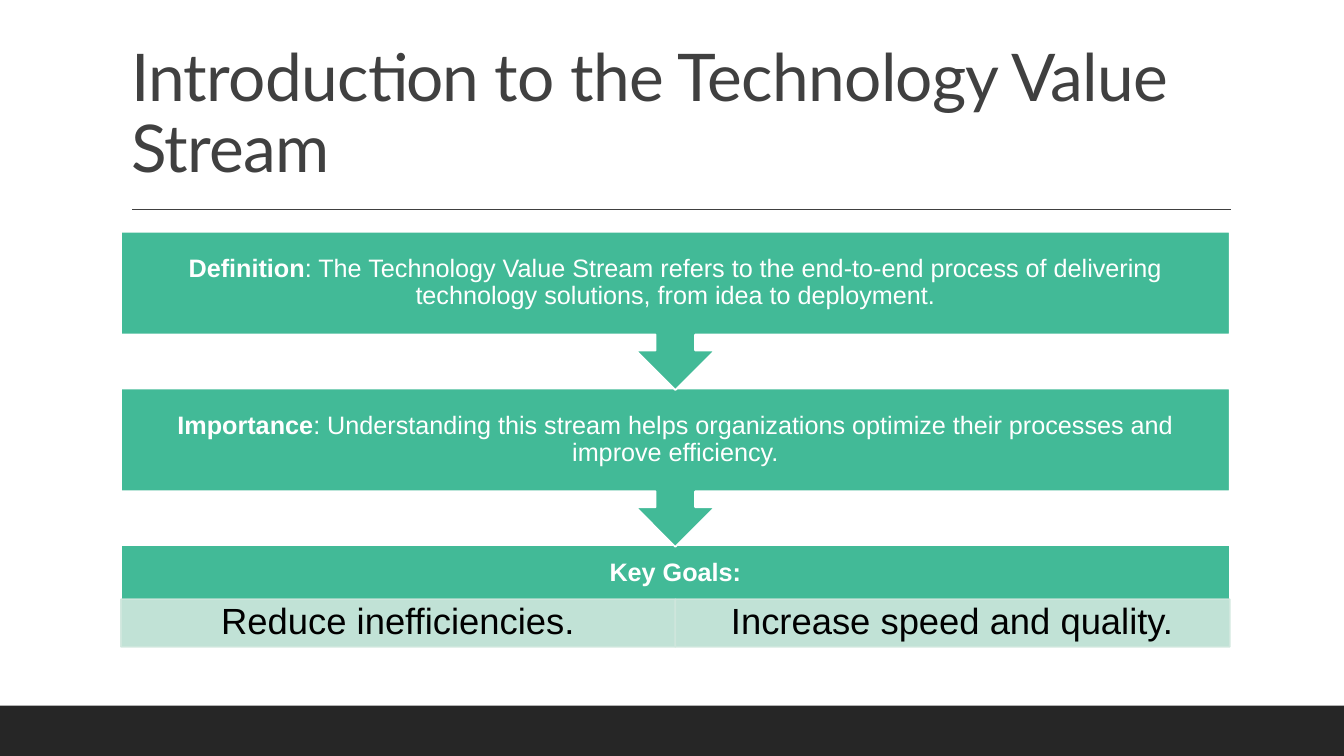
from dataclasses import dataclass

import pptx
import pptx.dml.color
import pptx.enum.shapes
import pptx.enum.text
import pptx.oxml
import pptx.oxml.ns
import pptx.presentation
import pptx.shapes.autoshape
import pptx.slide
import pptx.util
from pptx.util import Cm

RGBColor = pptx.dml.color.RGBColor
Shapes = pptx.enum.shapes.MSO_SHAPE
Anchor = pptx.enum.text.MSO_ANCHOR
Align = pptx.enum.text.PP_ALIGN

WHITE = RGBColor(0xFF, 0xFF, 0xFF)
BLACK = RGBColor(0x00, 0x00, 0x00)
DARK_GRAY = RGBColor(0x40, 0x40, 0x40)
FOOTER_GRAY = RGBColor(0x26, 0x26, 0x26)
GREEN = RGBColor(0x42, 0xBA, 0x97)
PALE_GREEN = RGBColor(0xCF, 0xE7, 0xDD)

SLIDE_WIDTH, SLIDE_HEIGHT = Cm(33.87), Cm(19.05)
FLOW_LEFT, FLOW_TOP, FLOW_WIDTH = Cm(3.05), Cm(5.84), Cm(27.94)
STEP_PITCH, CALLOUT_HEIGHT, BOX_HEIGHT = Cm(3.95), Cm(3.99), Cm(2.59)
GOAL_TOP, GOAL_HEIGHT = Cm(15.1), Cm(1.2)
FOOTER_HEIGHT = Cm(1.27)


@dataclass(frozen=True)
class Step:
    label: str
    detail: str


@dataclass(frozen=True)
class Look:
    fill: RGBColor
    line: RGBColor
    text: RGBColor
    size: float
    margin_x: float
    margin_y: float
    opacity: int = 100


STEP_LOOK = Look(GREEN, WHITE, WHITE, 18, 0.36, 0.36)
GOAL_LOOK = Look(PALE_GREEN, PALE_GREEN, BLACK, 26, 0.5, 0.1, 90)

STEPS = [
    Step("Definition", ": The Technology Value Stream refers to the end-to-end process "
         "of delivering technology solutions, from idea to deployment."),
    Step("Importance", ": Understanding this stream helps organizations optimize "
         "their processes and improve efficiency."),
]
GOALS = ["Reduce inefficiencies.", "Increase speed and quality."]


def set_opacity(shape: pptx.shapes.autoshape.Shape, percent: int) -> None:
    """Make the fill and the outline of the shape partly transparent."""
    for color in shape._element.spPr.iter(pptx.oxml.ns.qn("a:srgbClr")):
        alpha = pptx.oxml.parse_xml(
            f'<a:alpha {pptx.oxml.ns.nsdecls("a")} val="{percent * 1000}"/>')
        color.append(alpha)


def add_box(slide: pptx.slide.Slide, preset: Shapes, left: int, top: int, width: int,
            height: int, step: Step, look: Look) -> pptx.shapes.autoshape.Shape:
    """Add a filled shape whose text is a bold label followed by plain detail."""
    shape = slide.shapes.add_shape(preset, left, top, width, height)
    shape.shadow.inherit = False
    shape.fill.solid()
    shape.fill.fore_color.rgb = look.fill
    shape.line.color.rgb = look.line
    shape.line.width = pptx.util.Pt(1.25)
    if look.opacity < 100:
        set_opacity(shape, look.opacity)

    frame = shape.text_frame
    frame.word_wrap = True
    frame.vertical_anchor = Anchor.MIDDLE
    frame.margin_left = frame.margin_right = Cm(look.margin_x)
    frame.margin_top = frame.margin_bottom = Cm(look.margin_y)
    paragraph = frame.paragraphs[0]
    paragraph.alignment = Align.CENTER
    paragraph.line_spacing = 0.9
    paragraph.font.name = "Arial"
    paragraph.font.size = pptx.util.Pt(look.size)
    paragraph.font.color.rgb = look.text
    for text, bold in ((step.label, True), (step.detail, False)):
        if text:
            run = paragraph.add_run()
            run.text = text
            run.font.bold = bold
    return shape


def add_title(slide: pptx.slide.Slide) -> None:
    title = slide.shapes.title
    title.left, title.top, title.width, title.height = Cm(3.05), Cm(0.79), Cm(27.94), Cm(4.04)
    title.text_frame.word_wrap = True
    title.text_frame.vertical_anchor = Anchor.BOTTOM
    paragraph = title.text_frame.paragraphs[0]
    paragraph.alignment = Align.LEFT
    paragraph.line_spacing = 0.9
    paragraph.font.name = "Lato"
    paragraph.font.size = pptx.util.Pt(47)
    paragraph.font.color.rgb = DARK_GRAY
    run = paragraph.add_run()
    run.text = "Introduction to the Technology Value Stream"
    run._r.get_or_add_rPr().set("spc", "-50")


def add_rule_and_footer(slide: pptx.slide.Slide) -> None:
    rule = slide.shapes.add_connector(
        pptx.enum.shapes.MSO_CONNECTOR.STRAIGHT, Cm(3.33), Cm(5.28), Cm(31.01), Cm(5.28))
    rule.line.color.rgb = DARK_GRAY
    rule.line.width = pptx.util.Pt(1)
    rule._element.spPr.append(
        pptx.oxml.parse_xml(f'<a:effectLst {pptx.oxml.ns.nsdecls("a")}/>'))

    footer = slide.shapes.add_shape(
        Shapes.RECTANGLE, 0, SLIDE_HEIGHT - FOOTER_HEIGHT, SLIDE_WIDTH, FOOTER_HEIGHT)
    footer.shadow.inherit = False
    footer.fill.solid()
    footer.fill.fore_color.rgb = FOOTER_GRAY
    footer.line.fill.background()


def add_flow(slide: pptx.slide.Slide) -> None:
    """Draw from the bottom up, so that each arrow tip lies over the next box."""
    key_goals = add_box(slide, Shapes.RECTANGLE, FLOW_LEFT, FLOW_TOP + len(STEPS) * STEP_PITCH,
                        FLOW_WIDTH, BOX_HEIGHT, Step("Key Goals:", ""), STEP_LOOK)
    key_goals.text_frame.margin_bottom = Cm(1.55)

    goal_width = FLOW_WIDTH // len(GOALS)
    for column, goal in enumerate(GOALS):
        add_box(slide, Shapes.RECTANGLE, FLOW_LEFT + column * goal_width, GOAL_TOP,
                goal_width, GOAL_HEIGHT, Step("", goal), GOAL_LOOK)

    for row, step in reversed(list(enumerate(STEPS))):
        add_box(slide, Shapes.DOWN_ARROW_CALLOUT, FLOW_LEFT, FLOW_TOP + row * STEP_PITCH,
                FLOW_WIDTH, CALLOUT_HEIGHT, step, STEP_LOOK)


def main() -> None:
    presentation = pptx.Presentation()
    presentation.slide_width, presentation.slide_height = SLIDE_WIDTH, SLIDE_HEIGHT
    slide = presentation.slides.add_slide(presentation.slide_layouts.get_by_name("Title Only"))
    add_title(slide)
    add_rule_and_footer(slide)
    add_flow(slide)
    presentation.save("out.pptx")


if __name__ == "__main__":
    main()
